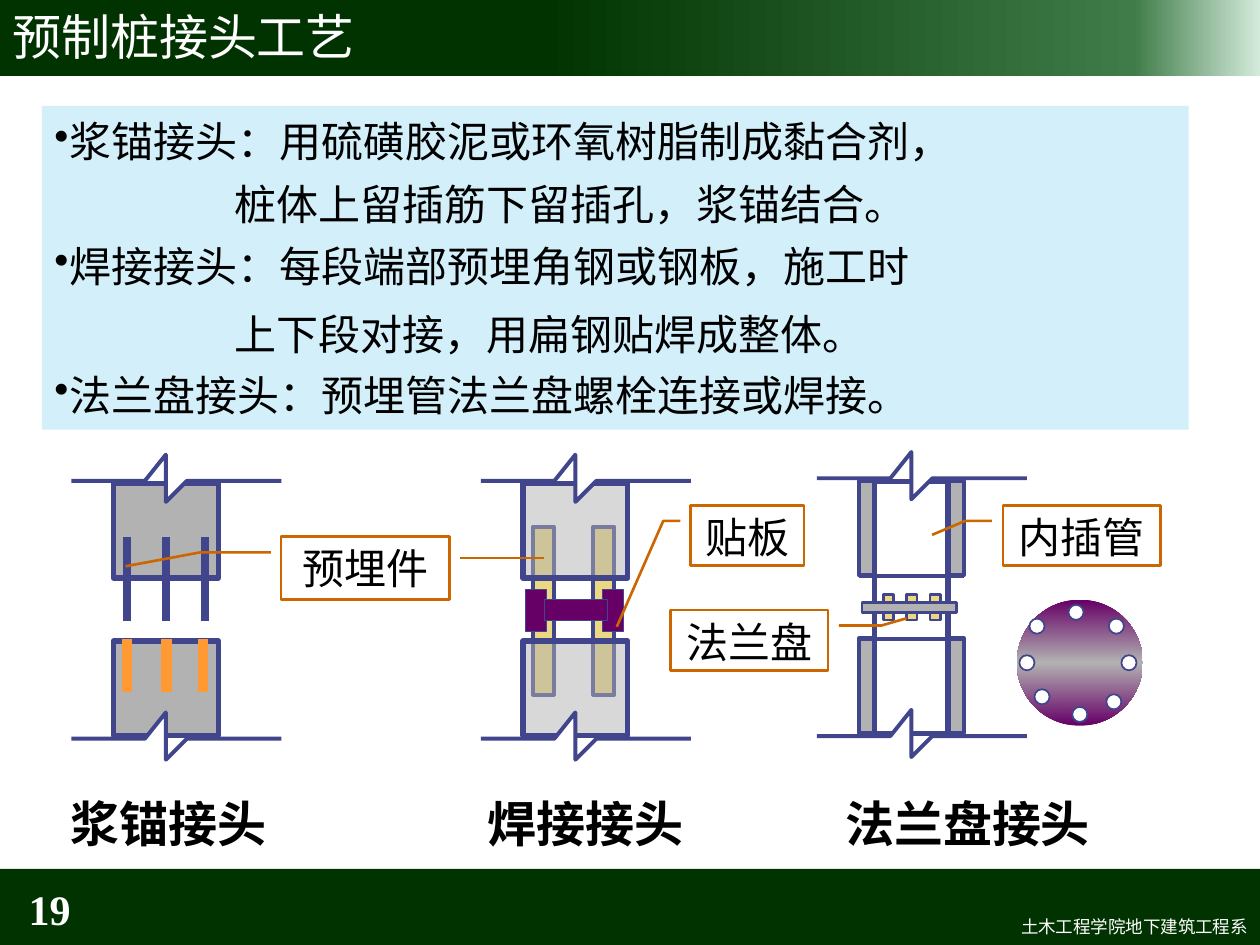
from copy import deepcopy
from dataclasses import dataclass

from pptx import Presentation
from pptx.dml.color import RGBColor
from pptx.enum.shapes import MSO_CONNECTOR, MSO_SHAPE
from pptx.enum.text import MSO_ANCHOR, PP_ALIGN
from pptx.oxml.ns import qn
from pptx.oxml.xmlchemy import OxmlElement
from pptx.util import Inches, Pt


@dataclass(frozen=True)
class Theme:
    white: str = "FFFFFF"
    black: str = "000000"
    dark_green: str = "003300"
    mid_green: str = "3F7C49"
    pale_green: str = "D4EBDB"
    panel: str = "D2EFFA"
    concrete: str = "B2B2B2"
    outline: str = "40458C"
    steel: str = "ECD882"
    plate: str = "660066"
    hole: str = "FF9933"
    callout: str = "CC6600"
    latin: str = "Arial"
    serif: str = "Times New Roman"
    chinese: str = "Noto Sans CJK SC"
    heading_size: int = 28
    body_size: int = 24
    footer_size: int = 10


class SlideBuilder:
    """Draws on a grid of 120 columns by 90 rows (twelve cells to the inch)."""

    columns, rows = 120, 90

    def __init__(self, presentation, theme):
        self.theme = theme
        self.cell = presentation.slide_width / self.columns
        self.slide = presentation.slides.add_slide(presentation.slide_layouts[6])
        self.shapes = self.slide.shapes

    def lengths(self, *cells):
        return [round(cell * self.cell) for cell in cells]

    def paint(self, shape, fill, line=None, weight=1, alpha=None):
        shape.shadow.inherit = False
        shape.fill.solid()
        shape.fill.fore_color.rgb = RGBColor.from_string(fill)
        if alpha is not None:
            element = OxmlElement("a:alpha")
            element.set("val", str(alpha * 1000))
            shape._element.spPr.find(qn("a:solidFill"))[0].append(element)
        if line:
            shape.line.color.rgb = RGBColor.from_string(line)
            shape.line.width = Pt(weight)
        else:
            shape.line.fill.background()
        return shape

    def box(self, at, fill, line=None, weight=1, alpha=None, kind=MSO_SHAPE.RECTANGLE):
        shape = self.shapes.add_shape(kind, *self.lengths(*at))
        return self.paint(shape, fill, line, weight, alpha)

    def gradient(self, shape, stops, angle):
        shape.fill.gradient()
        shape.fill.gradient_angle = angle
        stop_list = shape._element.spPr.find(qn("a:gradFill")).find(qn("a:gsLst"))
        stop_list.append(deepcopy(stop_list[0]))
        for stop, (position, color) in zip(shape.fill.gradient_stops, stops):
            stop.position = position
            stop.color.rgb = RGBColor.from_string(color)

    def outline(self, points, fill, line, weight):
        start, *others = [self.lengths(*point) for point in points]
        builder = self.shapes.build_freeform(*start)
        builder.add_line_segments(others, close=False)
        self.paint(builder.convert_to_shape(), fill, line, weight)

    def line(self, start, end, color, weight):
        connector = self.shapes.add_connector(
            MSO_CONNECTOR.STRAIGHT, *self.lengths(*start, *end))
        connector.line.color.rgb = RGBColor.from_string(color)
        connector.line.width = Pt(weight)
        connector._element.spPr.append(OxmlElement("a:effectLst"))

    def fill_text(self, shape, text, bullet=False, indent=0, paragraph_format=None,
                  **font_format):
        paragraph = shape.text_frame.paragraphs[0]
        run = paragraph.add_run()
        run.text = text
        properties = paragraph._p.get_or_add_pPr()
        properties.set("marL", str(Inches(indent)))
        properties.set("indent", "0")
        if bullet:
            mark = OxmlElement("a:buChar")
            mark.set("char", "•")
            properties.append(mark)
        for name, value in (paragraph_format or {}).items():
            setattr(paragraph, name, value)
        values = {"name": self.theme.latin, "size": self.theme.body_size,
                  "color": self.theme.black, "bold": False} | font_format
        run.font.color.rgb = RGBColor.from_string(values.pop("color"))
        values["size"] = Pt(values["size"])
        for name, value in values.items():
            setattr(run.font, name, value)
        east_asian = OxmlElement("a:ea")
        east_asian.set("typeface", self.theme.chinese)
        run._r.get_or_add_rPr().append(east_asian)

    def text(self, at, text, wrap=False, anchor=MSO_ANCHOR.MIDDLE, **formats):
        shape = self.shapes.add_textbox(*self.lengths(*at))
        shape.text_frame.word_wrap = wrap
        shape.text_frame.vertical_anchor = anchor
        self.fill_text(shape, text, **formats)

    def callout(self, at, text, adjustments):
        shape = self.box(at, self.theme.white, self.theme.callout, 1.5,
                         kind=MSO_SHAPE.LINE_CALLOUT_2)
        for index, value in enumerate(adjustments):
            shape.adjustments[index] = value
        shape.text_frame.vertical_anchor = MSO_ANCHOR.TOP
        self.fill_text(shape, text, paragraph_format={"alignment": PP_ALIGN.CENTER})

    def pile_sections(self, left, top, weight=3, alpha=None):
        for offset in (2.75, 17.75):
            self.box((left + 4, top + offset, 10, 9), self.theme.concrete,
                     self.theme.outline, weight, alpha)

    def break_lines(self, left, top):
        zigzag = [(0, 2.5), (7, 2.5), (9, 0), (9, 4.5), (11, 2.5), (20, 2.5)]
        for offset in (0, 24.55):
            points = [(left + x, top + offset + y) for x, y in zigzag]
            self.outline(points, self.theme.white, self.theme.outline, 2.25)


def main():
    presentation = Presentation()
    presentation.slide_width, presentation.slide_height = Inches(10), Inches(7.5)
    theme = Theme()
    builder = SlideBuilder(presentation, theme)
    right = {"alignment": PP_ALIGN.RIGHT}

    # Header and footer
    header = builder.box((0, -0.36, 120, 7.62), theme.dark_green)
    builder.gradient(header, [(0.43, theme.dark_green), (0.9, theme.mid_green),
                              (1, theme.pale_green)], 0)
    builder.box((0, 82.74, 120, 7.62), theme.dark_green)
    builder.text((50.5, 86.64, 69.5, 3.24), "土木工程学院地下建筑工程系", wrap=True,
                 anchor=MSO_ANCHOR.TOP, paragraph_format=right,
                 name=theme.chinese, size=theme.footer_size, color=theme.white)
    builder.text((0, 84.12, 7.92, 4.8), "19", wrap=True, paragraph_format=right,
                 name=theme.serif, color=theme.white, bold=True)
    builder.text((0, -0.36, 120, 7.56), "预制桩接头工艺", wrap=True,
                 name=theme.chinese, size=theme.heading_size, color=theme.white)

    # Descriptions
    builder.box((4, 10.08, 109.2, 30.84), theme.panel)
    for top, width, text in [
            (10.44, 88.68, "浆锚接头：用硫磺胶泥或环氧树脂制成黏合剂，"),
            (22.32, 85.68, "焊接接头：每段端部预埋角钢或钢板，施工时"),
            (34.56, 84.6, "法兰盘接头：预埋管法兰盘螺栓连接或焊接。")]:
        builder.text((4, top, width, 6), text, bullet=True)
    for top, width, height, spacing, text in [
            (15.72, 87.12, 6.48, 1.2, "桩体上留插筋下留插孔，浆锚结合。"),
            (28.44, 83.04, 6.12, 1.1, "上下段对接，用扁钢贴焊成整体。")]:
        builder.text((4.92, top, width, height), text, indent=1.35,
                     paragraph_format={"line_spacing": spacing})

    # Grouted joint
    builder.pile_sections(6.8, 43.3)
    builder.break_lines(6.8, 43.3)
    for column in (12.1, 15.84, 19.56):
        builder.line((column, 51.12), (column, 59.16), theme.outline, 4.5)
    for column in (12.1, 15.84, 19.32):
        builder.line((column, 60.84), (column, 65.88), theme.hole, 6)

    # Welded joint
    for left in (50.76, 56.52):
        builder.box((left, 50.16, 2, 16), theme.steel, theme.outline, 2.25)
    builder.pile_sections(45.8, 43.3, alpha=50)
    builder.break_lines(45.8, 43.3)
    for plate in [(50.04, 56.16, 2, 4), (57.36, 56.16, 2, 4), (51.84, 57.12, 6, 2)]:
        builder.box(plate, theme.plate, theme.outline, 0.75)

    # Flange joint
    builder.pile_sections(77.8, 43.05, weight=2.25)
    builder.box((83.28, 45.84, 7, 24), theme.white, theme.outline, 3)
    builder.break_lines(77.8, 43.05)
    for row in (54.84, 60.84):
        builder.line((81.84, row), (91.8, row), theme.outline, 2.25)
    for bolt in range(3):
        builder.box((84.12 + 2.22 * bolt, 56.64, 1, 2.4), theme.steel, theme.outline, 1.5)
    builder.box((82.08, 57.36, 9, 1), theme.concrete, theme.outline, 1.5)

    # Joint names
    for left, width, name in [(5.52, 21.12, "浆锚接头"), (45.24, 21.12, "焊接接头"),
                              (79.32, 25.8, "法兰盘接头")]:
        builder.text((left, 75, width, 6.84), name, size=theme.heading_size, bold=True)

    # Callouts
    builder.callout((26.76, 51.12, 16.08, 6), "预埋件",
                    (0.25, -0.06, 0.25, -0.48, 0.47, -0.92))
    builder.line((43.8, 53.16), (51.84, 53.16), theme.callout, 1.5)
    builder.callout((63.84, 58.08, 15, 5.76), "法兰盘",
                    (0.26, 1.07, 0.26, 1.34, 0.14, 1.5))
    builder.callout((95.52, 48.12, 15, 5.76), "内插管",
                    (0.26, -0.07, 0.26, -0.24, 0.49, -0.45))
    builder.callout((65.76, 48.12, 10.8, 5.76), "贴板",
                    (0.26, -0.09, 0.26, -0.24, 2.01, -0.65))

    # Flange face with bolt holes
    flange = builder.box((96.84, 57.12, 12, 12), theme.plate, kind=MSO_SHAPE.OVAL)
    builder.gradient(flange, [(0, theme.plate), (0.5, theme.concrete), (1, theme.plate)], 90)
    for left, top in [(101.76, 57.6), (105.6, 58.92), (98.04, 58.92), (106.8, 62.4),
                      (97.08, 62.4), (98.52, 65.64), (102.12, 67.32), (105.36, 66.12)]:
        builder.box((left, top, 1.44, 1.44), theme.white, theme.outline, 1,
                    kind=MSO_SHAPE.OVAL)

    presentation.save("out.pptx")


if __name__ == "__main__":
    main()
